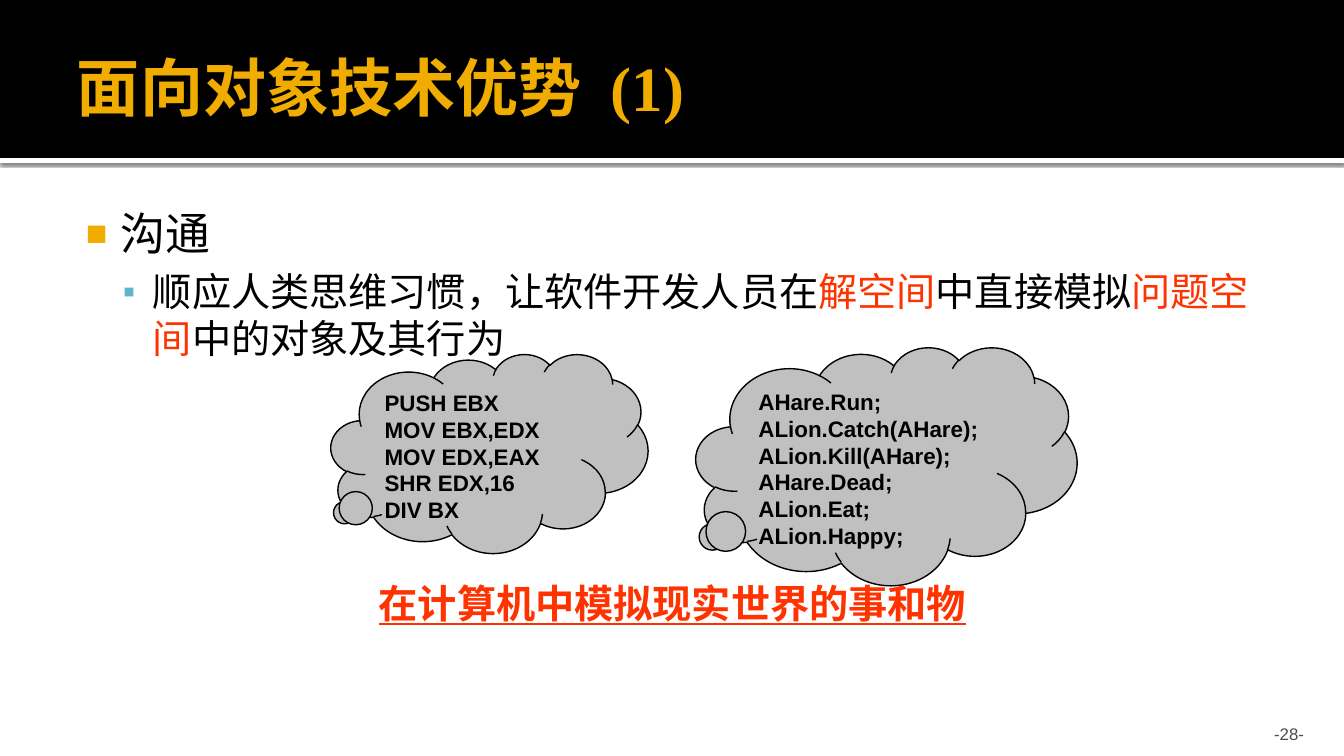
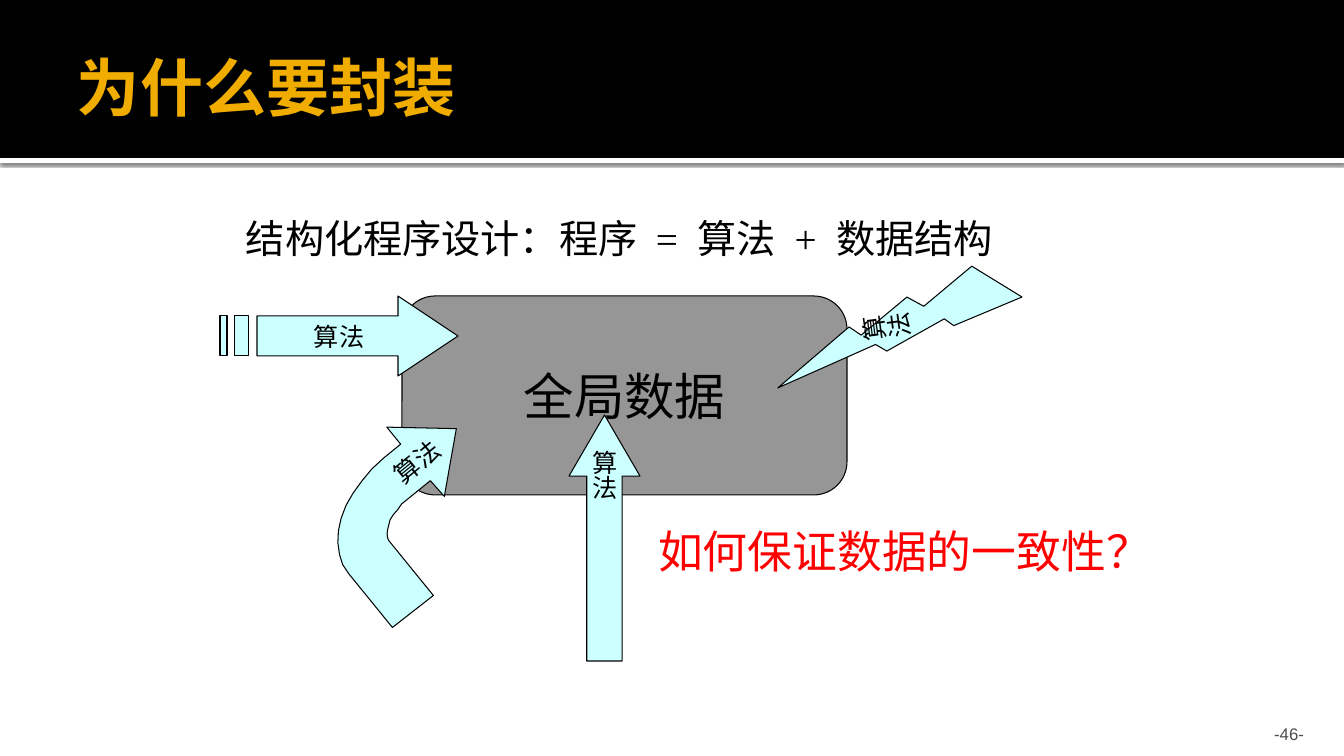
from math import cos, radians, sin

from lxml import etree
from pptx import Presentation
from pptx.dml.color import RGBColor
from pptx.enum.shapes import MSO_SHAPE
from pptx.enum.text import MSO_ANCHOR, PP_ALIGN
from pptx.oxml.ns import qn
from pptx.util import Pt

SCALE = 12192000 / 1344
WIDTH, HEIGHT = 1344, 756
BAND_HEIGHT = 158
TITLE_ONLY = 5

BLACK = RGBColor(0x00, 0x00, 0x00)
WHITE = RGBColor(0xFF, 0xFF, 0xFF)
GOLD = RGBColor(0xF0, 0xAD, 0x00)
SKY = RGBColor(0x60, 0xB5, 0xCC)
ORANGE = RGBColor(0xFF, 0x33, 0x00)
RED = RGBColor(0xFF, 0x00, 0x00)
SILVER = RGBColor(0xC0, 0xC0, 0xC0)
GRAY = RGBColor(0x96, 0x96, 0x96)
DARK_GRAY = RGBColor(0x4D, 0x4D, 0x4D)
PALE_CYAN = RGBColor(0xCC, 0xFF, 0xFF)

RECTANGLE = MSO_SHAPE.RECTANGLE
ROUNDED = MSO_SHAPE.ROUNDED_RECTANGLE
CLOUD = MSO_SHAPE.CLOUD_CALLOUT
BOLT = MSO_SHAPE.LIGHTNING_BOLT
UP_ARROW = MSO_SHAPE.UP_ARROW
TOP, MIDDLE, BOTTOM = MSO_ANCHOR.TOP, MSO_ANCHOR.MIDDLE, MSO_ANCHOR.BOTTOM
LEFT, CENTER, RIGHT = PP_ALIGN.LEFT, PP_ALIGN.CENTER, PP_ALIGN.RIGHT

SERIF = "Times New Roman"
SANS = "Arial"
TITLE = dict(name=SERIF, size=Pt(45), bold=True, color=GOLD)
NUMBER = dict(name=SANS, size=Pt(12), color=DARK_GRAY)
TOPIC = dict(name=SERIF, size=Pt(32), color=BLACK)
DETAIL = dict(name=SERIF, size=Pt(28), color=BLACK)
KEYWORD = {**DETAIL, "color": ORANGE}
CODE = dict(name=SANS, size=Pt(16), bold=True, color=BLACK)
SUMMARY = dict(name=SANS, size=Pt(28), bold=True, underline=True, color=ORANGE)
DATA = dict(name=SERIF, size=Pt(36), color=BLACK)
LABEL = dict(name=SERIF, size=Pt(18), color=BLACK)
QUESTION = dict(name=SERIF, size=Pt(32), color=RED)
INSETS = (10, 5, 10, 5)


def px(length):
    return round(length * SCALE)


def curve(start, first, second, end, steps=10):
    points = []
    for step in range(1, steps + 1):
        t = step / steps
        weights = ((1 - t) ** 3, 3 * t * (1 - t) ** 2, 3 * t * t * (1 - t), t ** 3)
        points.append(tuple(
            sum(weight * value for weight, value in zip(weights, axis))
            for axis in zip(start, first, second, end)))
    return points


def rotate(points, center, degrees):
    cosine, sine = cos(radians(degrees)), sin(radians(degrees))
    left, top = center
    return [(left + (x - left) * cosine - (y - top) * sine,
             top + (x - left) * sine + (y - top) * cosine) for x, y in points]


def words(*parts, gap):
    spans = [(parts[0], {})]
    for part in parts[1:]:
        spans += [(" ", dict(gap=gap)), (part, {})]
    return spans


class Slides:
    def __init__(self):
        self.deck = Presentation()
        self.deck.slide_width, self.deck.slide_height = px(WIDTH), px(HEIGHT)
        self.page = None

    def add_page(self, title, number):
        layout = self.deck.slide_layouts[TITLE_ONLY]
        self.page = self.deck.slides.add_slide(layout)
        rule = self.shape(RECTANGLE, (0, BAND_HEIGHT, WIDTH, 5), WHITE, line=None)
        self.cast_shadow(rule)
        self.shape(RECTANGLE, (0, 0, WIDTH, BAND_HEIGHT), BLACK, line=None)
        heading = self.page.shapes.title
        self.page.shapes._spTree.append(heading._element)
        frame = dict(left=67, top=17, width=1210, height=138)
        for name, value in frame.items():
            setattr(heading, name, px(value))
        self.set_text(heading, [title], TITLE, anchor=MIDDLE, insets=(10, 5, 5, 5))
        self.text((1206, 714, 108, 30), [f"-{number}-"], NUMBER, align=RIGHT,
                  anchor=BOTTOM, insets=(10, 5, 10, 0))

    def cast_shadow(self, shape):
        effects = shape._element.spPr.find(qn("a:effectLst"))
        shadow = etree.SubElement(effects, qn("a:outerShdw"), blurRad="31750",
                                  dist="10160", dir="5400000", rotWithShape="0")
        color = etree.SubElement(shadow, qn("a:srgbClr"), val=str(BLACK))
        etree.SubElement(color, qn("a:alpha"), val="60000")

    def style_font(self, font, style):
        for name, value in style.items():
            if name == "color":
                font.color.rgb = value
            else:
                setattr(font, name, value)

    def set_text(self, shape, paragraphs, style, align=LEFT, anchor=TOP,
                 insets=INSETS, wrap=True):
        frame = shape.text_frame
        frame.word_wrap, frame.vertical_anchor = wrap, anchor
        for side, inset in zip(("left", "top", "right", "bottom"), insets):
            setattr(frame, f"margin_{side}", px(inset))
        for index, content in enumerate(paragraphs):
            para = frame.add_paragraph() if index else frame.paragraphs[0]
            para.alignment = align
            spans = [(content, {})] if isinstance(content, str) else content
            for text, changes in spans:
                span = para.add_run()
                span.text = text
                changes = dict(changes)
                gap = changes.pop("gap", None)
                self.style_font(span.font, {**style, **changes})
                if gap:
                    span._r.get_or_add_rPr().set("spc", str(gap))

    def text(self, place, paragraphs, style, **layout):
        box = self.page.shapes.add_textbox(*map(px, place))
        self.set_text(box, paragraphs, style, **layout)
        return box

    def bullet(self, para, mark, color, percent, margin, indent):
        properties = para._p.get_or_add_pPr()
        properties.set("marL", str(px(margin)))
        properties.set("indent", str(px(indent)))
        fill = etree.SubElement(properties, qn("a:buClr"))
        etree.SubElement(fill, qn("a:srgbClr"), val=str(color))
        etree.SubElement(properties, qn("a:buSzPct"), val=str(percent * 1000))
        etree.SubElement(properties, qn("a:buFont"), typeface=SANS)
        etree.SubElement(properties, qn("a:buChar"), char=mark)

    def paint(self, shape, fill, line):
        shape.shadow.inherit = False
        shape.fill.solid()
        shape.fill.fore_color.rgb = fill
        if line is None:
            shape.line.fill.background()
        else:
            shape.line.color.rgb = BLACK
            shape.line.width = Pt(line)

    def shape(self, kind, place, fill, line=0.75, adjust=(), rotation=0):
        shape = self.page.shapes.add_shape(kind, *map(px, place))
        for index, value in enumerate(adjust):
            shape.adjustments[index] = value
        shape.rotation = rotation
        self.paint(shape, fill, line)
        return shape

    def outline(self, contours, fill, rotation=0):
        builder = None
        for start, *points in contours:
            if builder is None:
                builder = self.page.shapes.build_freeform(*start, scale=SCALE)
            else:
                builder.move_to(*start)
            builder.add_line_segments(points, close=True)
        shape = builder.convert_to_shape()
        shape.rotation = rotation
        self.paint(shape, fill, 0.75)
        return shape

    def label(self, shape, text="算法", style=LABEL, insets=INSETS, **direction):
        self.set_text(shape, [text], style, align=CENTER, anchor=MIDDLE,
                      insets=insets, wrap=False)
        for name, value in direction.items():
            shape.text_frame._txBody.bodyPr.set(name, value)

    def cloud(self, place, adjust, lines):
        shape = self.shape(CLOUD, place, SILVER, line=1, adjust=adjust)
        self.set_text(shape, lines, CODE)


def add_advantages(slides):
    slides.add_page(words("面向对象技术优势", "(1)", gap=1100), 28)
    detail = [("顺应人类思维习惯，让软件开发人员在", DETAIL), ("解空间", KEYWORD),
              ("中直接模拟", DETAIL), ("问题空间", KEYWORD),
              ("中的对象及其行为", DETAIL)]
    body = slides.text((67, 196, 1210, 510), ["沟通", detail], TOPIC,
                       insets=(6, 10, 10, 5))
    topic, explanation = body.text_frame.paragraphs
    explanation.space_before = Pt(5.6)
    slides.bullet(topic, "■", GOLD, 80, 48, -35)
    slides.bullet(explanation, "▪", SKY, 90, 80, -30)
    slides.cloud((331, 354, 317, 199), (-0.46, 0.3),
                 ["PUSH EBX", "MOV EBX,EDX", "MOV EDX,EAX", "SHR EDX,16", "DIV BX"])
    slides.cloud((696, 347, 381, 238), (-0.46, 0.3),
                 ["AHare.Run;", "ALion.Catch(AHare);", "ALion.Kill(AHare);",
                  "AHare.Dead;", "ALion.Eat;", "ALion.Happy;"])
    slides.text((236, 574, 873, 57), ["在计算机中模拟现实世界的事和物"], SUMMARY,
                align=CENTER)


def add_encapsulation(slides):
    slides.add_page("为什么要封装", 46)
    formula = words("结构化程序设计：程序", "=", "算法", "+", "数据结构", gap=700)
    slides.text((236, 209, 801, 57), [formula], DETAIL)
    data = slides.shape(ROUNDED, (402, 296, 445, 199), GRAY)
    slides.label(data, "全局数据", DATA)

    bolt = slides.shape(BOLT, (850, 197, 95, 254), PALE_CYAN, rotation=82.4)
    slides.label(bolt, vert="eaVert", rot="10800000")
    up_arrow = slides.shape(UP_ARROW, (569, 415, 71, 246), PALE_CYAN,
                            adjust=(0.5, 0.86))
    slides.label(up_arrow, vert="eaVert")

    bend = [(456, 428), (387, 427), (401, 444), (384, 458),
            *curve((384, 458), (341, 493), (325, 544), (349, 574)),
            (392, 627), (433, 595), (389, 540),
            *curve((389, 540), (382, 531), (392, 510), (413, 494)),
            (430, 480), (444, 496)]
    tilt = 39.1
    bent_arrow = slides.outline([rotate(bend, (410, 511), tilt)], PALE_CYAN,
                                rotation=360 - tilt)
    slides.label(bent_arrow, insets=(82, 5, 10, 73))

    top, bottom = 316, 356
    head = [(398, 296), (398, top), (257, top), (257, bottom),
            (398, bottom), (398, 376), (458, 336)]
    stripes = [[(left, top), (left, bottom), (right, bottom), (right, top)]
               for left, right in ((235, 249), (220, 227))]
    slides.label(slides.outline([head, *stripes], PALE_CYAN))
    slides.text((648, 519, 528, 64), ["如何保证数据的一致性？"], QUESTION)


def main():
    slides = Slides()
    add_advantages(slides)
    add_encapsulation(slides)
    slides.deck.save("out.pptx")


if __name__ == "__main__":
    main()
